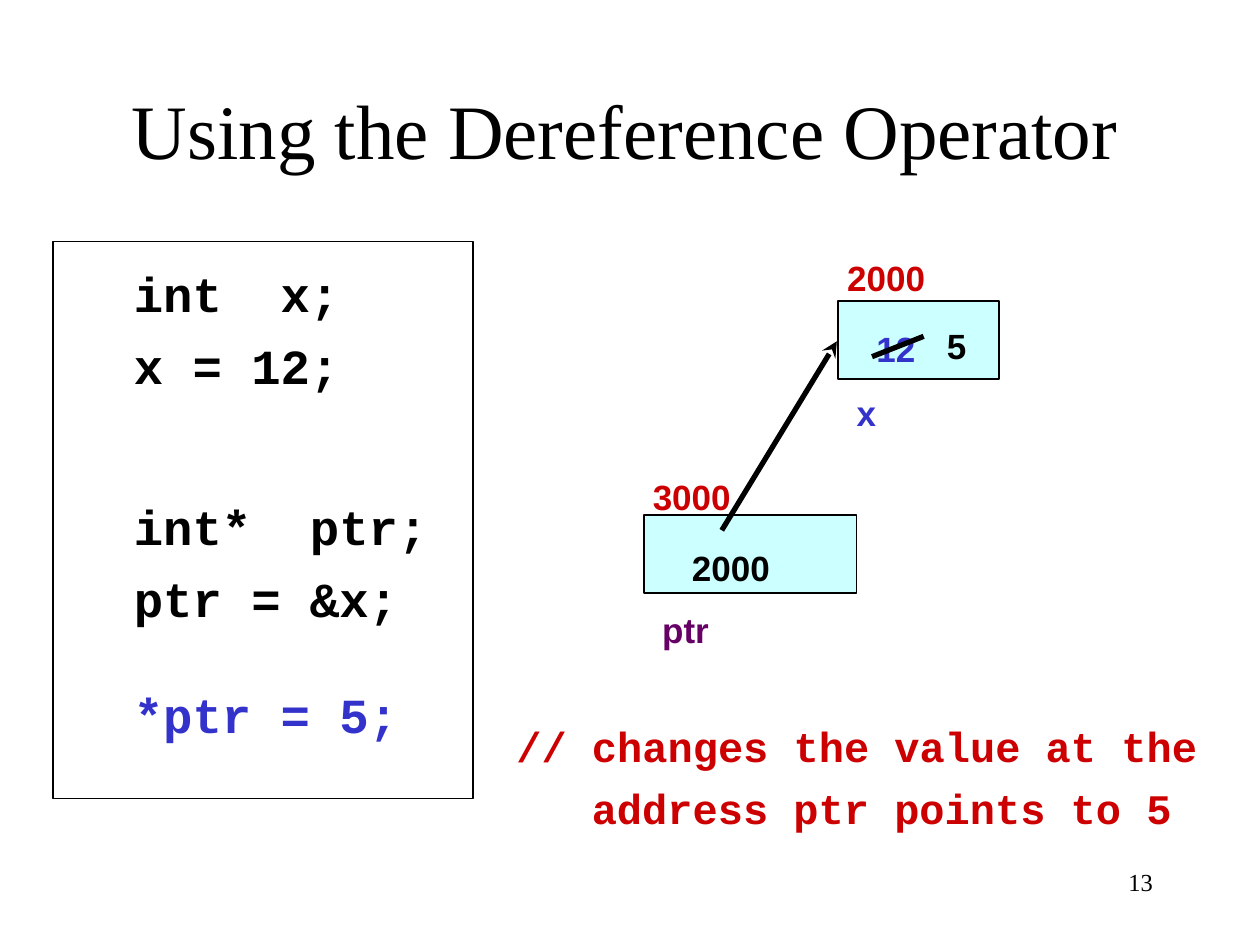
from dataclasses import dataclass
from lxml.etree import SubElement
from pptx import Presentation
from pptx.dml.color import RGBColor
from pptx.enum.shapes import MSO_CONNECTOR, MSO_SHAPE
from pptx.enum.text import MSO_ANCHOR, PP_ALIGN
from pptx.oxml.ns import qn
from pptx.util import Cm, Pt


@dataclass(frozen=True)
class Theme:
    black: str = "000000"
    white: str = "FFFFFF"
    cyan: str = "CCFFFF"
    red: str = "CC0000"
    blue: str = "3333CC"
    plum: str = "660066"
    serif: str = "Times New Roman"
    sans: str = "Arial"
    mono: str = "Courier New"
    title: int = 44
    code: int = 28
    note: int = 24
    label: int = 20
    page: int = 14


class Deck:
    def __init__(self, slide, theme):
        self.slide = slide
        self.theme = theme

    def text(self, box, lines, font, size, bold=False, align=PP_ALIGN.LEFT,
             anchor=MSO_ANCHOR.TOP, wrap=True):
        """Each line is (text, colour, space before in points, indent in cm)."""
        frame = self.slide.shapes.add_textbox(*map(Cm, box)).text_frame
        frame.word_wrap = wrap
        frame.vertical_anchor = anchor
        frame.margin_left = frame.margin_right = 0
        frame.margin_top = frame.margin_bottom = 0
        frame.text = "\n".join(line[0] for line in lines)
        for para, (_, color, gap, indent) in zip(frame.paragraphs, lines):
            para.alignment = align
            para.space_before = Pt(gap)
            if indent:
                para._p.get_or_add_pPr().set("marL", str(Cm(indent)))
            for run in para.runs:
                run.font.name = font
                run.font.size = Pt(size)
                run.font.bold = bold
                run.font.color.rgb = RGBColor.from_string(color)

    def label(self, left, top, word, color):
        self.text((left, top, 2, 0.82), [(word, color, 0, 0)],
                  self.theme.sans, self.theme.label, bold=True, wrap=False)

    def rect(self, box, fill):
        shape = self.slide.shapes.add_shape(MSO_SHAPE.RECTANGLE, *map(Cm, box))
        shape.shadow.inherit = False
        shape.fill.solid()
        shape.fill.fore_color.rgb = RGBColor.from_string(fill)
        shape.line.color.rgb = RGBColor.from_string(self.theme.black)
        shape.line.width = Pt(1)

    def line(self, start, end, arrow=False):
        link = self.slide.shapes.add_connector(
            MSO_CONNECTOR.STRAIGHT, *map(Cm, start + end))
        link.line.color.rgb = RGBColor.from_string(self.theme.black)
        link.line.width = Pt(3)
        if arrow:
            SubElement(link.line._get_or_add_ln(), qn("a:tailEnd"), type="stealth")
        SubElement(link._element.spPr, qn("a:effectLst"))


show = Presentation()
show.slide_width, show.slide_height = Cm(25.4), Cm(19.05)
theme = Theme()
deck = Deck(show.slides.add_slide(show.slide_layouts[6]), theme)

# Title and page number
deck.text((1.7, 0.48, 21.8, 3.05),
          [("Using the Dereference Operator", theme.black, 0, 0)],
          theme.serif, theme.title, align=PP_ALIGN.CENTER,
          anchor=MSO_ANCHOR.BOTTOM)
deck.text((18.2, 17.48, 5.04, 1), [("13", theme.black, 0, 0)],
          theme.serif, theme.page, align=PP_ALIGN.RIGHT)

# Code panel
deck.rect((1.07, 4.87, 8.46, 11.23), theme.white)
deck.text((2.7, 5.31, 6.6, 10.5), [
    ("int  x;", theme.black, 7, 0),
    ("x = 12;", theme.black, 7.5, 0),
    ("int*  ptr;", theme.black, 58.5, 0),
    ("ptr = &x;", theme.black, 7.5, 0),
    ("*ptr = 5;", theme.blue, 32.5, 0),
], theme.mono, theme.code, bold=True)

# Memory cells and pointer arrow
deck.rect((16.89, 6.07, 3.25, 1.57), theme.cyan)
deck.rect((12.98, 10.39, 4.29, 1.57), theme.cyan)
deck.line((14.55, 10.69), (16.87, 6.88), arrow=True)

# Addresses, values and names
for left, top, word, color in [
    (17.08, 5.18, "2000", theme.red),
    (17.67, 6.6, "12", theme.blue),
    (19.09, 6.55, "5", theme.black),
    (17.27, 7.9, "x", theme.blue),
    (13.16, 9.58, "3000", theme.red),
    (13.95, 11.02, "2000", theme.black),
    (13.35, 12.27, "ptr", theme.plum),
]:
    deck.label(left, top, word, color)

# Strike through the old value
deck.line((17.58, 7.19), (18.62, 6.78))

# Remark on the last statement
deck.text((10.41, 14.53, 14.2, 2.34), [
    ("// changes the value at the", theme.red, 6, 0),
    ("address ptr points to 5", theme.red, 6.5, 1.52),
], theme.mono, theme.note, bold=True)

show.save("out.pptx")
